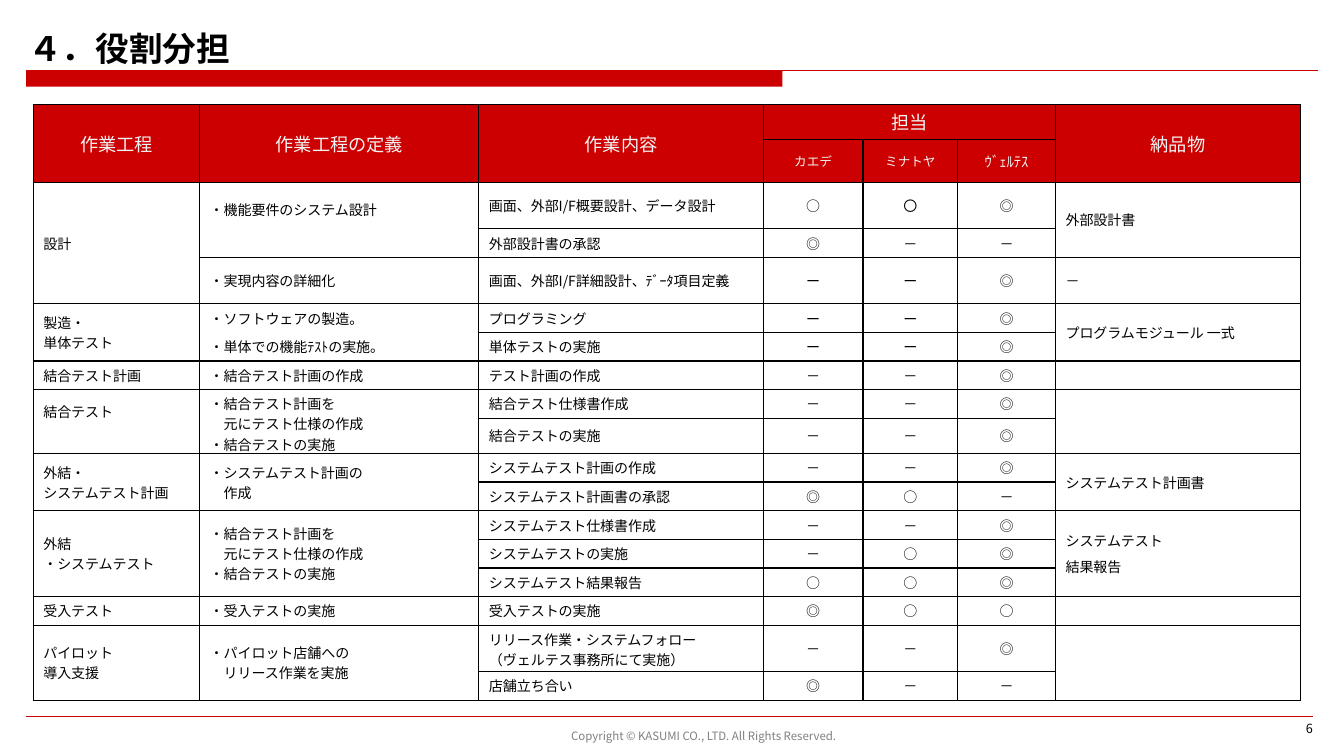
from lxml.etree import SubElement
from pptx import Presentation
from pptx.dml.color import RGBColor
from pptx.enum.lang import MSO_LANGUAGE_ID
from pptx.enum.shapes import MSO_CONNECTOR, MSO_SHAPE
from pptx.enum.text import MSO_ANCHOR, MSO_AUTO_SIZE, PP_ALIGN
from pptx.oxml.ns import qn
from pptx.util import Inches, Pt

RED = RGBColor(0xCC, 0x00, 0x00)
BLACK = RGBColor(0x00, 0x00, 0x00)
WHITE = RGBColor(0xFF, 0xFF, 0xFF)
PALE = RGBColor(0xF2, 0xF2, 0xF2)
GRAY = RGBColor(0x80, 0x80, 0x80)

COLUMN_WIDTHS = [1.65, 2.77, 2.82, 0.99, 0.94, 0.97, 2.43]
TABLE_HEIGHT = 5.91
SPECIAL_HEIGHTS = {0: 0.34, 1: 0.43, 2: 0.46, 4: 0.46, 9: 0.35, 16: 0.46}
HEADER_ROWS = 2
MARK_COLUMNS = range(3, 6)
HEADER_SIZES = {(1, 3): 9, (1, 4): 9, (1, 5): 10.5}
RAISED_CELLS = [(2, 1), (8, 0)]
SPACES_BEFORE = {(5, 1): 6, (12, 6): 4}

ROLES = [
    ("作業工程", "作業工程の定義", "作業内容", ("担当", "", ""), "納品物"),
    (None, None, None, ("カエデ", "ミナトヤ", "ｳﾞｪﾙﾃｽ"), None),
    ("設計", "・機能要件のシステム設計", "画面、外部I/F概要設計、データ設計", "○〇◎", "外部設計書"),
    (None, None, "外部設計書の承認", "◎－－", None),
    (None, "・実現内容の詳細化", "画面、外部I/F詳細設計、ﾃﾞｰﾀ項目定義", "ーー◎", "－"),
    ("製造・\v単体テスト", "・ソフトウェアの製造。\n・単体での機能ﾃｽﾄの実施。", "プログラミング", "ーー◎",
     "プログラムモジュール 一式"),
    (None, None, "単体テストの実施", "ーー◎", None),
    ("結合テスト計画", "・結合テスト計画の作成", "テスト計画の作成", "－－◎", ""),
    ("結合テスト", "・結合テスト計画を\v元にテスト仕様の作成\n・結合テストの実施", "結合テスト仕様書作成",
     "－－◎", ""),
    (None, None, "結合テストの実施", "－－◎", None),
    ("外結・\nシステムテスト計画", "・システムテスト計画の\v作成", "システムテスト計画の作成", "－－◎",
     "システムテスト計画書"),
    (None, None, "システムテスト計画書の承認", "◎○－", None),
    ("外結\n・システムテスト", "・結合テスト計画を\v元にテスト仕様の作成\n・結合テストの実施",
     "システムテスト仕様書作成", "－－◎", "システムテスト\n結果報告"),
    (None, None, "システムテストの実施", "－○◎", None),
    (None, None, "システムテスト結果報告", "○○◎", None),
    ("受入テスト", "・受入テストの実施", "受入テストの実施", "◎○○", ""),
    ("パイロット\n導入支援", "・パイロット店舗への\vリリース作業を実施",
     "リリース作業・システムフォロー\n（ヴェルテス事務所にて実施）", "－－◎", ""),
    (None, None, "店舗立ち合い", "◎－－", None),
]


class RolePage:
    font = "Noto Sans CJK JP"

    def __init__(self, deck):
        self.page = deck.slides.add_slide(deck.slide_layouts[5])

    def fill_text(self, frame, text, size, color, align=PP_ALIGN.LEFT, bold=False, space=0):
        for number, content in enumerate(text.split("\n")):
            para = frame.add_paragraph() if number else frame.paragraphs[0]
            para.alignment = align
            if number:
                para.space_before = Pt(space)
            if content.startswith("・"):
                properties = para._p.get_or_add_pPr()
                properties.set("marL", str(Pt(size)))
                properties.set("indent", str(-Pt(size)))
            for position, line in enumerate(content.split("\v")):
                if position:
                    para.add_line_break()
                if line:
                    self.add_span(para, line, size, color, bold)
            if not content:
                SubElement(para._p, qn("a:endParaRPr"), sz=str(int(size * 100)))

    def add_span(self, para, text, size, color, bold):
        span = para.add_run()
        span.text = text
        span.font.size = Pt(size)
        span.font.bold = bold
        span.font.color.rgb = color
        span.font.name = self.font
        span.font.language_id = MSO_LANGUAGE_ID.JAPANESE
        SubElement(span._r.get_or_add_rPr(), qn("a:ea"), typeface=self.font)

    def title(self, text, left, top, width, height):
        box = self.page.shapes.title
        box.left, box.top = Inches(left), Inches(top)
        box.width, box.height = Inches(width), Inches(height)
        frame = box.text_frame
        frame.auto_size = MSO_AUTO_SIZE.NONE
        frame.vertical_anchor = MSO_ANCHOR.TOP
        self.fill_text(frame, text, 24, BLACK, bold=True)

    def text(self, text, left, top, width, height, size, color, align, anchor):
        box = self.page.shapes.add_textbox(Inches(left), Inches(top), Inches(width), Inches(height))
        box.text_frame.word_wrap = True
        box.text_frame.vertical_anchor = anchor
        self.fill_text(box.text_frame, text, size, color, align)

    def bar(self, left, top, width, height):
        box = self.page.shapes.add_shape(
            MSO_SHAPE.RECTANGLE, Inches(left), Inches(top), Inches(width), Inches(height))
        box.shadow.inherit = False
        box.fill.solid()
        box.fill.fore_color.rgb = RED
        box.line.fill.background()

    def rule(self, left, right, top, weight):
        line = self.page.shapes.add_connector(
            MSO_CONNECTOR.STRAIGHT, Inches(left), Inches(top), Inches(right), Inches(top))
        line.line.color.rgb = RED
        line.line.width = Pt(weight)
        SubElement(line._element.spPr, qn("a:effectLst"))

    def border(self, cell):
        properties = cell._tc.get_or_add_tcPr()
        for position, side in enumerate(("a:lnL", "a:lnR", "a:lnT", "a:lnB")):
            edge = properties.makeelement(qn(side), {"w": str(Pt(1))})
            SubElement(SubElement(edge, qn("a:solidFill")), qn("a:srgbClr"), val=str(BLACK))
            properties.insert(position, edge)

    def cell(self, table, row, column, text):
        cell = table.cell(row, column)
        header = row < HEADER_ROWS
        cell.fill.solid()
        cell.fill.fore_color.rgb = RED if header else WHITE
        self.border(cell)
        cell.margin_left = cell.margin_right = Inches(0.1)
        cell.margin_top = Inches(0.04)
        cell.margin_bottom = Inches(0.24 if (row, column) in RAISED_CELLS else 0.04)
        cell.vertical_anchor = MSO_ANCHOR.MIDDLE
        centered = header or column in MARK_COLUMNS
        size = HEADER_SIZES.get((row, column), 13) if header else 10
        self.fill_text(cell.text_frame, text or "", size if text else 8, PALE if header else BLACK,
                       PP_ALIGN.CENTER if centered else PP_ALIGN.LEFT,
                       space=SPACES_BEFORE.get((row, column), 0))

    def table(self, roles, left, top):
        rows = [(stage, meaning, work, *marks, output) for stage, meaning, work, marks, output in roles]
        table = self.page.shapes.add_table(
            len(rows), len(COLUMN_WIDTHS), Inches(left), Inches(top),
            Inches(sum(COLUMN_WIDTHS)), Inches(TABLE_HEIGHT)).table
        for column, width in zip(table.columns, COLUMN_WIDTHS):
            column.width = Inches(width)
        common = (TABLE_HEIGHT - sum(SPECIAL_HEIGHTS.values())) / (len(rows) - len(SPECIAL_HEIGHTS))
        for number, values in enumerate(rows):
            table.rows[number].height = Inches(SPECIAL_HEIGHTS.get(number, common))
            for column, text in enumerate(values):
                self.cell(table, number, column, text)
        table.cell(0, MARK_COLUMNS[0]).merge(table.cell(0, MARK_COLUMNS[-1]))
        for column in range(len(COLUMN_WIDTHS)):
            starts = [number for number, values in enumerate(rows) if values[column] is not None]
            for start, following in zip(starts, starts[1:] + [len(rows)]):
                if following - start > 1:
                    table.cell(start, column).merge(table.cell(following - 1, column))


def main():
    deck = Presentation()
    deck.slide_width, deck.slide_height = Inches(13.33), Inches(7.5)
    page = RolePage(deck)
    page.bar(0.26, 0.7, 7.5, 0.16)
    page.rule(0.26, 13.07, 0.7, 0.75)
    page.rule(0.26, 13.02, 7.11, 0.25)
    page.text("Copyright © KASUMI CO., LTD. All Rights Reserved.", 1.52, 7.18, 10.92, 0.24,
              8.2, GRAY, PP_ALIGN.CENTER, MSO_ANCHOR.MIDDLE)
    page.title("４．役割分担", 0.18, 0.23, 11.11, 0.5)
    page.text("6", 10.34, 7.1, 2.78, 0.2, 9, BLACK, PP_ALIGN.RIGHT, MSO_ANCHOR.TOP)
    page.table(ROLES, 0.33, 1.04)
    deck.save("out.pptx")


if __name__ == "__main__":
    main()
